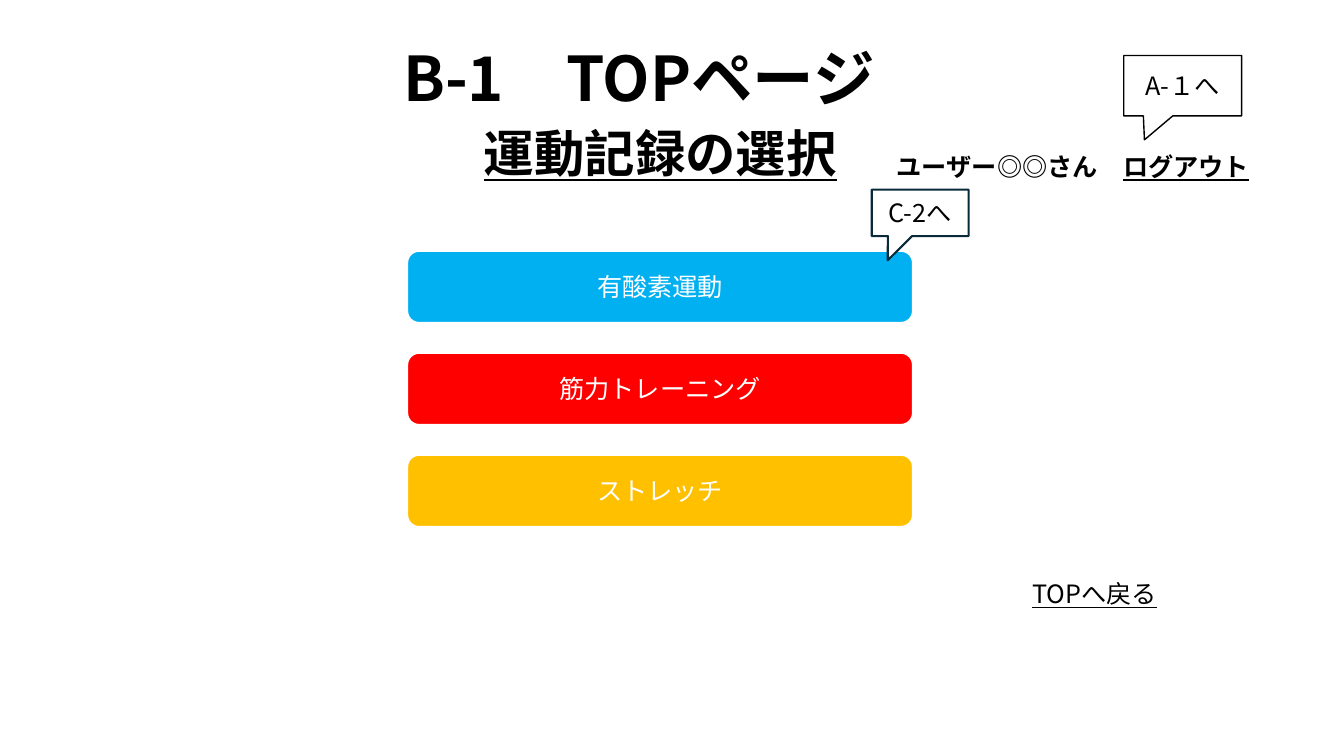
from dataclasses import dataclass

from lxml import etree
from pptx import Presentation
from pptx.dml import color
from pptx.enum import shapes, text
from pptx.oxml import ns
from pptx.util import Cm, Pt


@dataclass(frozen=True)
class Theme:
    font: str = "Noto Sans CJK JP"
    black: str = "000000"
    white: str = "FFFFFF"
    blue: str = "00B0F0"
    red: str = "FF0000"
    amber: str = "FFC000"
    navy: str = "092A39"
    title_size: int = 44
    heading_size: int = 36
    body_size: int = 18


@dataclass(frozen=True)
class Box:
    """Position and size in centimetres."""
    left: float
    top: float
    width: float
    height: float

    def lengths(self) -> tuple:
        return Cm(self.left), Cm(self.top), Cm(self.width), Cm(self.height)


@dataclass(frozen=True)
class MenuButton:
    label: str
    fill: str


@dataclass(frozen=True)
class Callout:
    label: str
    box: Box
    tip: tuple
    line: str
    line_width: float


@dataclass(frozen=True)
class Label:
    pieces: tuple  # (wording, underlined)
    box: Box
    size: int
    bold: bool
    centred: bool


THEME = Theme()
TITLE_BOX = Box(1.5, 0.61, 29.21, 2.9)
FIRST_BUTTON = Box(10.26, 6.32, 12.75, 1.82)
BUTTON_STEP = 2.57

BUTTONS = (
    MenuButton("有酸素運動", THEME.blue),
    MenuButton("筋力トレーニング", THEME.red),
    MenuButton("ストレッチ", THEME.amber),
)
CALLOUTS = (
    Callout("A-１へ", Box(28.32, 1.4, 2.97, 1.52), (-0.324, 0.898), THEME.black, 1),
    Callout("C-2へ", Box(21.97, 4.78, 2.44, 1.17), (-0.335, 1.021), THEME.navy, 1.5),
)
LABELS = (
    Label((("運動記録の選択", True),), Box(9.3, 2.95, 14.68, 1.8),
          THEME.heading_size, True, True),
    Label((("ユーザー◎◎さん　", False), ("ログアウト", True)),
          Box(22.35, 3.68, 9.73, 1.03), THEME.body_size, True, False),
    Label((("TOPへ戻る", True),), Box(23.95, 14.45, 7.26, 1.03),
          THEME.body_size, False, True),
)


def rgb(value: str) -> color.RGBColor:
    return color.RGBColor.from_string(value)


def style(paragraph, size: int, ink: str, bold: bool = False, centred: bool = True) -> None:
    paragraph.alignment = text.PP_ALIGN.CENTER if centred else text.PP_ALIGN.LEFT
    font = paragraph.font
    font.size, font.bold, font.name = Pt(size), bold, THEME.font
    font.color.rgb = rgb(ink)
    # East Asian typeface sits beside the Latin one
    latin = paragraph._p.pPr.find(ns.qn("a:defRPr")).find(ns.qn("a:latin"))
    east_asian = etree.Element(ns.qn("a:ea"), typeface=THEME.font)
    latin.addnext(east_asian)


def add_panel(slide, kind, box: Box, label: str, fill: str, line: str,
              line_width: float, ink: str):
    panel = slide.shapes.add_shape(kind, *box.lengths())
    panel.shadow.inherit = False
    panel.fill.solid()
    panel.fill.fore_color.rgb = rgb(fill)
    panel.line.color.rgb = rgb(line)
    panel.line.width = Pt(line_width)
    frame = panel.text_frame
    frame.text = label
    frame.vertical_anchor = text.MSO_ANCHOR.MIDDLE
    style(frame.paragraphs[0], THEME.body_size, ink)
    return panel


def add_button(slide, button: MenuButton, row: int) -> None:
    first = FIRST_BUTTON
    box = Box(first.left, first.top + row * BUTTON_STEP, first.width, first.height)
    add_panel(slide, shapes.MSO_SHAPE.ROUNDED_RECTANGLE, box, button.label,
              button.fill, THEME.white, 1.5, THEME.white)


def add_callout(slide, callout: Callout) -> None:
    bubble = add_panel(slide, shapes.MSO_SHAPE.RECTANGULAR_CALLOUT, callout.box,
                       callout.label, THEME.white, callout.line,
                       callout.line_width, THEME.black)
    bubble.adjustments[0], bubble.adjustments[1] = callout.tip


def add_label(slide, label: Label) -> None:
    frame = slide.shapes.add_textbox(*label.box.lengths()).text_frame
    frame.word_wrap = True
    frame.auto_size = text.MSO_AUTO_SIZE.SHAPE_TO_FIT_TEXT
    paragraph = frame.paragraphs[0]
    style(paragraph, label.size, THEME.black, label.bold, label.centred)
    for wording, underlined in label.pieces:
        run = paragraph.add_run()
        run.text = wording
        run.font.underline = underlined


def set_title(slide, wording: str) -> None:
    title = slide.shapes.title
    title.left, title.top, title.width, title.height = TITLE_BOX.lengths()
    frame = title.text_frame
    frame.text = wording
    frame.auto_size = text.MSO_AUTO_SIZE.NONE
    frame.vertical_anchor = text.MSO_ANCHOR.MIDDLE
    heading = frame.paragraphs[0]
    heading.line_spacing = 0.9
    style(heading, THEME.title_size, THEME.black, bold=True)


def main() -> None:
    deck = Presentation()
    deck.slide_width, deck.slide_height = Cm(33.87), Cm(19.05)
    slide = deck.slides.add_slide(deck.slide_layouts.get_by_name("Title Only"))

    # Headings and links
    set_title(slide, "B-1　TOPページ")
    for label in LABELS:
        add_label(slide, label)

    # Exercise menu
    for row, button in enumerate(BUTTONS):
        add_button(slide, button, row)

    # Page destinations
    for callout in CALLOUTS:
        add_callout(slide, callout)

    deck.save("out.pptx")


if __name__ == "__main__":
    main()
